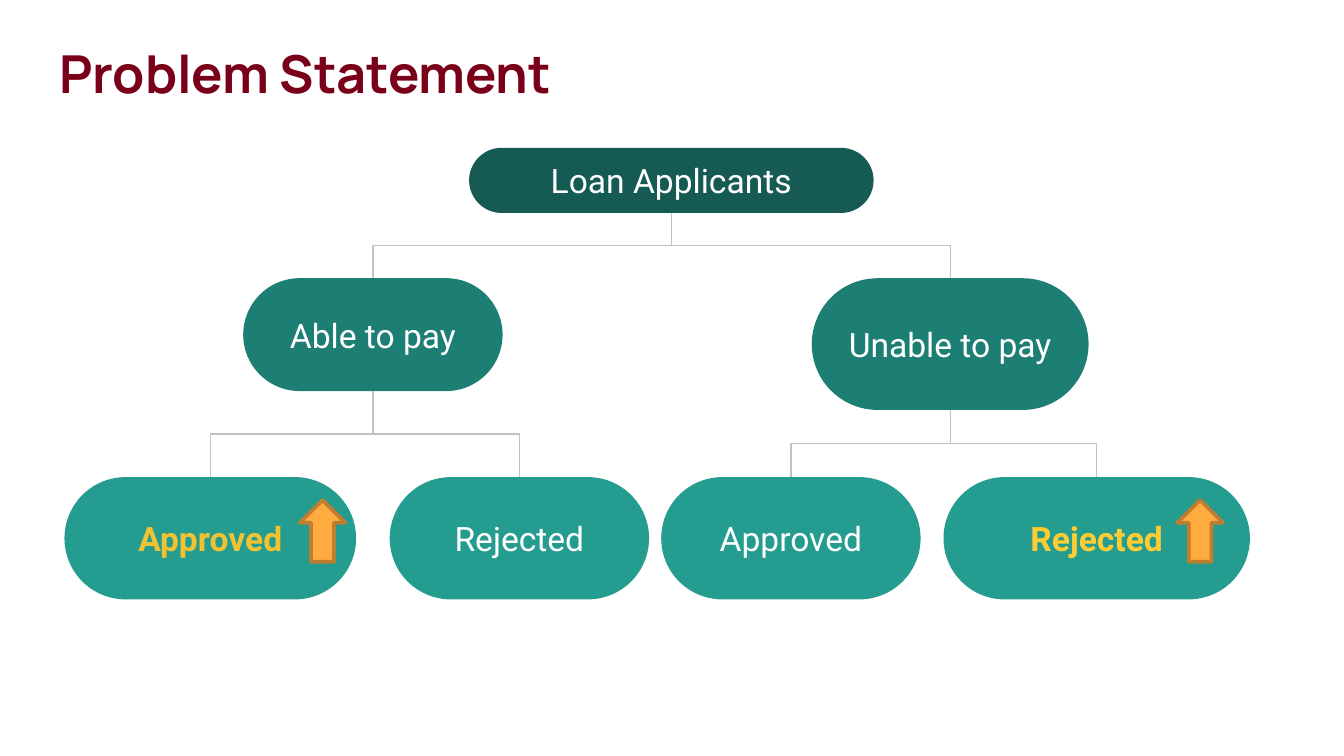
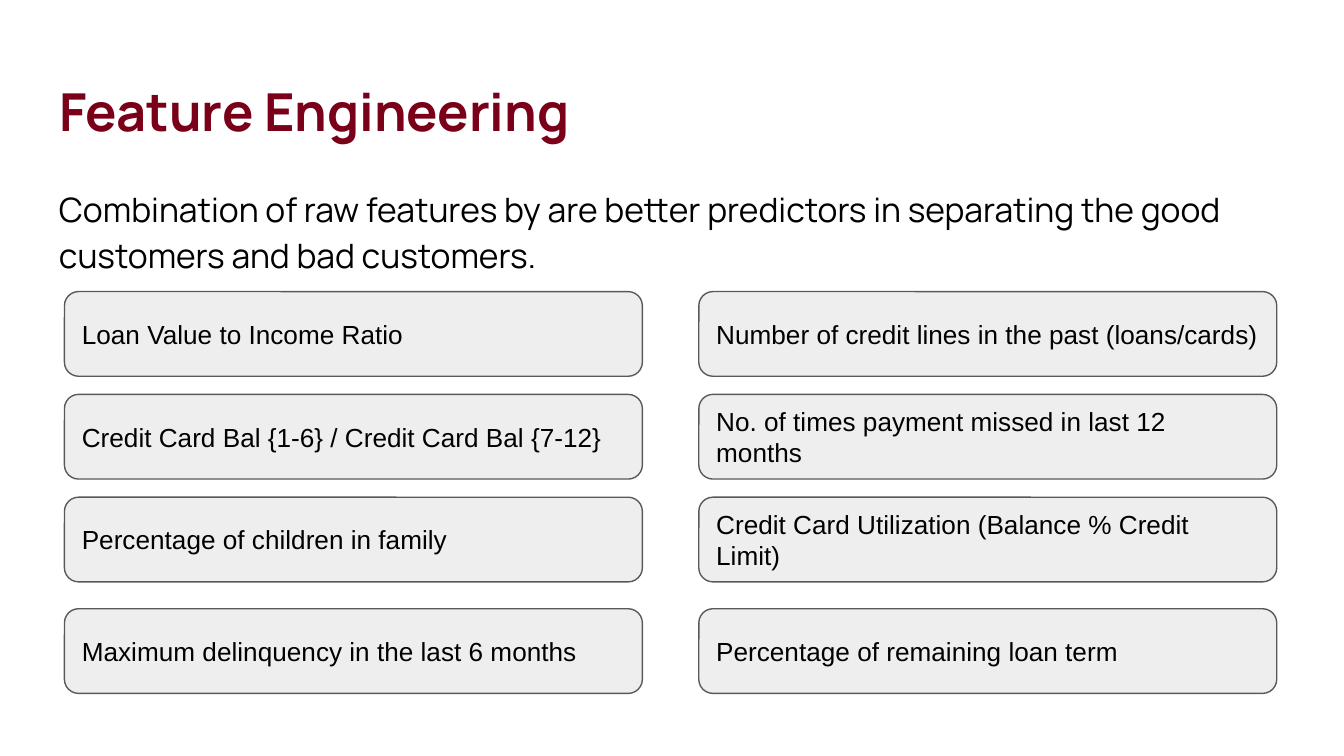
from dataclasses import dataclass
from itertools import product

from lxml.etree import SubElement
from pptx import Presentation
from pptx.dml.color import RGBColor
from pptx.enum.shapes import MSO_CONNECTOR, MSO_SHAPE
from pptx.enum.text import MSO_ANCHOR, MSO_AUTO_SIZE, PP_ALIGN
from pptx.oxml.ns import qn
from pptx.util import Inches, Length, Pt

PAGE_WIDTH = Inches(10)
PAGE_HEIGHT = Inches(5.625)
CELL = PAGE_WIDTH / 100

MAROON = RGBColor(0x7A, 0x00, 0x19)
BLACK = RGBColor(0x00, 0x00, 0x00)
WHITE = RGBColor(0xFF, 0xFF, 0xFF)
DEEP_TEAL = RGBColor(0x15, 0x5B, 0x54)
MID_TEAL = RGBColor(0x1D, 0x7E, 0x74)
LIGHT_TEAL = RGBColor(0x24, 0x9C, 0x90)
GOLD = RGBColor(0xF1, 0xC2, 0x32)
YELLOW = RGBColor(0xFF, 0xCC, 0x33)
ORANGE = RGBColor(0xFF, 0xAB, 0x40)
BROWN = RGBColor(0xBD, 0x7F, 0x2F)
CONNECTOR_GRAY = RGBColor(0xC2, 0xC2, 0xC2)
CARD_GRAY = RGBColor(0xEE, 0xEE, 0xEE)
BORDER_GRAY = RGBColor(0x59, 0x59, 0x59)

HEADING_FONT = "Manrope"
TREE_FONT = "Roboto"
CARD_FONT = "Arial"


@dataclass(frozen=True)
class Area:
    column: float
    row: float
    columns: float
    rows: float

    def lengths(self) -> tuple[Length, ...]:
        cells = (self.column, self.row, self.columns, self.rows)
        return tuple(Length(round(count * CELL)) for count in cells)


@dataclass(frozen=True)
class Node:
    label: str
    area: Area
    fill: RGBColor
    color: RGBColor = WHITE
    bold: bool = False
    children: tuple["Node", ...] = ()


def leaf(label: str, column: float, columns: float, **style) -> Node:
    return Node(label, Area(column, 35.5, columns, 9.1), LIGHT_TEAL, **style)


LOAN_TREE = Node(
    "Loan Applicants", Area(34.9, 11, 30.1, 4.85), DEEP_TEAL,
    children=(
        Node("Able to pay", Area(18.1, 20.7, 19.3, 8.4), MID_TEAL, children=(
            leaf("Approved", 4.8, 21.7, color=GOLD, bold=True),
            leaf("Rejected", 29, 19.3),
        )),
        Node("Unable to pay", Area(60.4, 20.7, 20.6, 9.8), MID_TEAL, children=(
            leaf("Approved", 49.2, 19.3),
            leaf("Rejected", 70.2, 22.8, color=YELLOW, bold=True),
        )),
    ),
)
ARROW_COLUMNS = (22.3, 87.6)

CARD_ROWS = (21.7, 29.35, 37, 45.3)
CARD_COLUMNS = (4.8, 52)
FEATURES = (
    "Loan Value to Income Ratio",
    "Number of credit lines in the past (loans/cards)",
    "Credit Card Bal {1-6} / Credit Card Bal {7-12}",
    "No. of times payment missed in last 12 months",
    "Percentage of children in family",
    "Credit Card Utilization (Balance % Credit Limit)",
    "Maximum delinquency in the last 6 months",
    "Percentage of remaining loan term",
)


def write(box, text: str, *, size: float, font: str, color: RGBColor,
          bold: bool = False, align=PP_ALIGN.LEFT, anchor=MSO_ANCHOR.MIDDLE,
          spacing: float = 1.0) -> None:
    frame = box.text_frame
    frame.word_wrap = True
    frame.auto_size = MSO_AUTO_SIZE.NONE
    frame.vertical_anchor = anchor
    frame.margin_left = frame.margin_right = Inches(0.1)
    frame.margin_top = frame.margin_bottom = Inches(0.1)
    para = frame.paragraphs[0]
    para.alignment = align
    para.line_spacing = spacing
    span = para.add_run()
    span.text = text
    span.font.size = Pt(size)
    span.font.name = font
    span.font.bold = bold
    span.font.color.rgb = color


def add_page(deck, title: str, row: float):
    page = deck.slides.add_slide(deck.slide_layouts[5])
    box = page.shapes.title
    box.left, box.top, box.width, box.height = Area(3.4, row, 93.2, 6.3).lengths()
    write(box, title, size=28, font=HEADING_FONT, color=MAROON, bold=True,
          anchor=MSO_ANCHOR.TOP)
    return page


def add_box(page, preset: MSO_SHAPE, area: Area, fill: RGBColor,
            border: RGBColor | None = None, weight: float = 0.75):
    box = page.shapes.add_shape(preset, *area.lengths())
    box.shadow.inherit = False
    box.fill.solid()
    box.fill.fore_color.rgb = fill
    if border is None:
        box.line.fill.background()
    else:
        box.line.color.rgb = border
        box.line.width = Pt(weight)
    return box


def join(page, parent, child) -> None:
    start_x, start_y = parent.left + parent.width // 2, parent.top + parent.height
    end_x, end_y = child.left + child.width // 2, child.top
    link = page.shapes.add_connector(MSO_CONNECTOR.ELBOW, start_x, start_y, end_x, end_y)
    link.begin_connect(parent, 2)
    link.end_connect(child, 0)
    link.line.color.rgb = CONNECTOR_GRAY
    link.line.width = Pt(0.75)

    drop, reach = end_y - start_y, abs(end_x - start_x)
    link.left = Length((start_x + end_x - drop) // 2)
    link.top = Length((start_y + end_y - reach) // 2)
    link.width, link.height = Length(drop), Length(reach)
    goes_right = end_x > start_x
    properties = link.element.spPr
    transform = properties.find(qn("a:xfrm"))
    transform.set("rot", str((270 if goes_right else 90) * 60000))
    transform.set("flipH", "1" if goes_right else "0")
    SubElement(properties, qn("a:effectLst"))


def add_tree(page, node: Node):
    box = add_box(page, MSO_SHAPE.ROUNDED_RECTANGLE, node.area, node.fill)
    box.adjustments[0] = 0.5
    write(box, node.label, size=18, font=TREE_FONT, color=node.color,
          bold=node.bold, align=PP_ALIGN.CENTER)
    for child in node.children:
        join(page, box, add_tree(page, child))
    return box


def add_problem_page(deck) -> None:
    page = add_page(deck, "Problem Statement", 2.1)
    add_tree(page, LOAN_TREE)
    for column in ARROW_COLUMNS:
        add_box(page, MSO_SHAPE.UP_ARROW, Area(column, 37.2, 3.4, 4.6),
                ORANGE, BROWN, 2)


def add_feature_page(deck) -> None:
    page = add_page(deck, "Feature Engineering", 4.9)
    summary = page.shapes.add_textbox(*Area(3.4, 12.6, 93.2, 41.7).lengths())
    write(summary,
          "Combination of raw features by are better predictors in separating "
          "the good customers and bad customers.",
          size=18, font=HEADING_FONT, color=BLACK, anchor=MSO_ANCHOR.TOP,
          spacing=1.15)
    for feature, (row, column) in zip(FEATURES, product(CARD_ROWS, CARD_COLUMNS)):
        card = add_box(page, MSO_SHAPE.ROUNDED_RECTANGLE,
                       Area(column, row, 43, 6.3), CARD_GRAY, BORDER_GRAY)
        write(card, feature, size=14, font=CARD_FONT, color=BLACK)


def main() -> None:
    deck = Presentation()
    deck.slide_width, deck.slide_height = PAGE_WIDTH, PAGE_HEIGHT
    add_problem_page(deck)
    add_feature_page(deck)
    deck.save("out.pptx")


if __name__ == "__main__":
    main()
